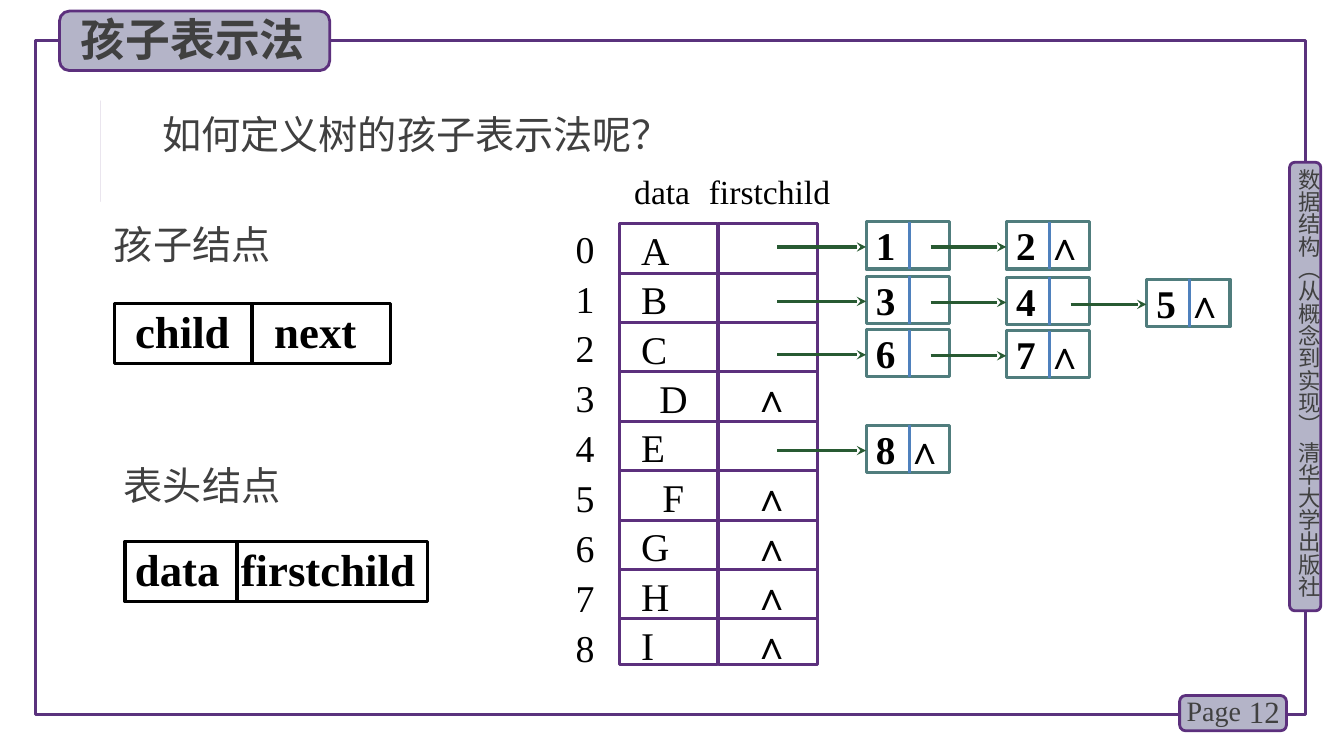
from dataclasses import dataclass
from math import cos, pi, sin
from typing import Optional

from lxml.etree import SubElement
from pptx import Presentation
from pptx.dml.color import RGBColor
from pptx.enum.shapes import MSO_CONNECTOR, MSO_SHAPE
from pptx.enum.text import MSO_ANCHOR, MSO_AUTO_SIZE, PP_ALIGN
from pptx.oxml.ns import qn
from pptx.util import Inches, Pt

PURPLE = RGBColor(0x5C, 0x30, 0x7D)
FRAME_PURPLE = RGBColor(0x5A, 0x32, 0x7D)
LILAC = RGBColor(0xB4, 0xB4, 0xC8)
GREY = RGBColor(0x40, 0x40, 0x40)
BLACK = RGBColor(0, 0, 0)
TEAL = RGBColor(0x50, 0x7D, 0x7D)
GREEN = RGBColor(0x28, 0x5A, 0x32)
BLUE = RGBColor(0x4F, 0x81, 0xBD)
CHINESE = "Noto Sans CJK SC"
ROMAN = "Times New Roman"

ROW_TOP, ROW_PITCH, COLUMN_WIDTH = 2.22, 0.49, 0.98
DATA_LEFT, CHILD_LEFT = 6.14, 7.13
LETTERS = "ABCDEFGHI"
LETTER_INDENTS = {"D": 0.3, "F": 0.33}
LEAF_ROWS = (3, 5, 6, 7, 8)
CELL_LEFT, CELL_STEP, CELL_WIDTH, CELL_HEIGHT = 8.59, 1.39, 0.83, 0.47
ARROW_STARTS = (7.71, 9.23, 10.62)


@dataclass
class ListCell:
    text: str
    column: int
    top: float


@dataclass
class NodeDiagram:
    left: float
    top: float
    width: float
    text: str
    inset: float
    tab: float
    divider: float


LIST_CELLS = [
    ListCell("1", 0, 2.2), ListCell("2 ∧", 1, 2.2),
    ListCell("3", 0, 2.74), ListCell("4", 1, 2.75), ListCell("5 ∧", 2, 2.77),
    ListCell("6", 0, 3.27), ListCell("7 ∧", 1, 3.28),
    ListCell("8 ∧", 0, 4.22),
]
NODE_DIAGRAMS = [
    NodeDiagram(1.14, 3.01, 2.73, "child\tnext", 0.2, 1.38, 2.5),
    NodeDiagram(1.24, 5.37, 3, "data\tfirstchild", 0.1, 1.05, 2.35),
]


def write(shape, text: str, *, size: float, font: str = ROMAN, color=BLACK,
          bold: bool = False, align=PP_ALIGN.LEFT, anchor=MSO_ANCHOR.TOP,
          insets=(0, 0, 0, 0), spacing: Optional[float] = None,
          tab: Optional[float] = None, indents: Optional[list] = None,
          wrap: bool = True) -> None:
    frame = shape.text_frame
    frame.auto_size = MSO_AUTO_SIZE.NONE
    frame.word_wrap = wrap
    frame.vertical_anchor = anchor
    (frame.margin_left, frame.margin_top,
     frame.margin_right, frame.margin_bottom) = map(Inches, insets)
    for index, line in enumerate(text.split("\n")):
        paragraph = frame.paragraphs[0] if index == 0 else frame.add_paragraph()
        paragraph.alignment = align
        if spacing:
            paragraph.line_spacing = spacing
        properties = paragraph._p.get_or_add_pPr()
        if indents:
            properties.set("marL", str(Inches(indents[index])))
        if tab:
            tabs = SubElement(properties, qn("a:tabLst"))
            SubElement(tabs, qn("a:tab"), pos=str(Inches(tab)), algn="l")
        run = paragraph.add_run()
        run.text = line
        run.font.size = Pt(size)
        run.font.bold = bold
        run.font.color.rgb = color
        run.font.name = font
        SubElement(run._r.get_or_add_rPr(), qn("a:ea"), typeface=font)


def add_text(slide, left: float, top: float, width: float, height: float,
             text: str, **text_format):
    box = slide.shapes.add_textbox(*map(Inches, (left, top, width, height)))
    write(box, text, **text_format)
    return box


def add_box(slide, left: float, top: float, width: float, height: float,
            color, line_width: float = 2.25, kind=MSO_SHAPE.RECTANGLE, fill=None):
    shape = slide.shapes.add_shape(kind, *map(Inches, (left, top, width, height)))
    shape.shadow.inherit = False
    if fill is None:
        shape.fill.background()
    else:
        shape.fill.solid()
        shape.fill.fore_color.rgb = fill
    shape.line.color.rgb = color
    shape.line.width = Pt(line_width)
    return shape


def add_badge(slide, left: float, top: float, width: float, height: float) -> None:
    add_box(slide, left, top, width, height, PURPLE, 2,
            MSO_SHAPE.ROUNDED_RECTANGLE, LILAC)


def add_line(slide, x1: float, y1: float, x2: float, y2: float, color,
             arrow: bool = False) -> None:
    line = slide.shapes.add_connector(
        MSO_CONNECTOR.STRAIGHT, *map(Inches, (x1, y1, x2, y2)))
    line.line.color.rgb = color
    line.line.width = Pt(2.25)
    if arrow:
        SubElement(line.line._get_or_add_ln(), qn("a:tailEnd"), type="stealth")
    SubElement(line._element.spPr, qn("a:effectLst"))


def add_outline(slide, *contours) -> None:
    """Draw one filled shape; later contours cut holes in the first."""
    builder = slide.shapes.build_freeform(*contours[0][0], scale=Inches(1))
    for index, contour in enumerate(contours):
        if index:
            builder.move_to(*contour[0])
        builder.add_line_segments(contour[1:], close=True)
    shape = builder.convert_to_shape()
    shape.shadow.inherit = False
    shape.fill.solid()
    shape.fill.fore_color.rgb = FRAME_PURPLE
    shape.line.fill.background()


def add_clock(slide) -> None:
    center_x, center_y = 1.15, 1.335
    face = [(center_x + 0.2 * cos(step * pi / 30), center_y + 0.175 * sin(step * pi / 30))
            for step in range(60)]
    hands = [(1.14, 1.21), (1.15, 1.2), (1.16, 1.2), (1.17, 1.22), (1.17, 1.32),
             (1.22, 1.32), (1.24, 1.33), (1.24, 1.34), (1.22, 1.35), (1.15, 1.35),
             (1.14, 1.34)]
    bell = [(0.98, 1.12), (0.94, 1.13), (0.91, 1.15), (0.9, 1.19), (0.9, 1.22),
            (0.91, 1.24), (0.93, 1.24), (1.05, 1.16), (1.05, 1.15), (1.02, 1.13)]
    stand = [(0.99, 1.58), (1.03, 1.53), (1.04, 1.52), (1.26, 1.52), (1.27, 1.53),
             (1.31, 1.58), (1.3, 1.59), (1.29, 1.59), (1.26, 1.54), (1.04, 1.54),
             (1.01, 1.59), (1, 1.59)]
    add_outline(slide, stand)
    add_outline(slide, bell)
    add_outline(slide, [(2 * center_x - x, y) for x, y in bell])
    add_outline(slide, face, hands)


def add_page_frame(slide) -> None:
    add_box(slide, 0.35, 0.4, 12.6, 6.69, FRAME_PURPLE)
    add_badge(slide, 12.79, 1.61, 0.31, 4.45)
    side = add_text(slide, 12.85, 1.67, 0.27, 4.49,
                    "数据结构（从概念到实现） 清华大学出版社",
                    size=16, font=CHINESE, color=GREY)
    side.text_frame._txBody.bodyPr.set("vert", "eaVert")
    add_badge(slide, 11.7, 6.9, 1.06, 0.35)
    add_text(slide, 12.2, 6.86, 0.59, 0.4, "12", size=22, color=GREY,
             align=PP_ALIGN.RIGHT, anchor=MSO_ANCHOR.MIDDLE, insets=(0.1, 0.05, 0.1, 0.05))
    add_text(slide, 11.67, 6.83, 0.78, 0.44, "Page", size=20, color=GREY,
             insets=(0.1, 0.05, 0.1, 0.05))


def add_title(slide, text: str) -> None:
    add_badge(slide, 0.59, 0.11, 2.68, 0.59)
    title = slide.shapes.title
    title.left, title.top, title.width, title.height = map(Inches, (0.7, 0.07, 2.5, 0.64))
    write(title, text, size=32, font=CHINESE, color=GREY, bold=True,
          insets=(0.1, 0.05, 0.1, 0.05))
    title._element.getparent().append(title._element)


def add_header_array(slide) -> None:
    add_text(slide, 6.29, 1.7, 0.65, 0.42, "data", size=24)
    add_text(slide, 7.03, 1.7, 1.38, 0.42, "firstchild", size=24)
    add_text(slide, 5.71, 2.19, 0.2, 4.68, "\n".join(map(str, range(9))),
             size=27, spacing=1.1)
    for left in (DATA_LEFT, CHILD_LEFT):
        column = add_box(slide, left, ROW_TOP, COLUMN_WIDTH, 4.37, PURPLE)
        if left == DATA_LEFT:
            write(column, "\n".join(LETTERS), size=28, spacing=1.05, insets=(0.1, 0, 0.1, 0),
                  indents=[LETTER_INDENTS.get(letter, 0.12) for letter in LETTERS])
        for row in range(1, len(LETTERS)):
            y = ROW_TOP + row * ROW_PITCH
            add_line(slide, left, y, left + COLUMN_WIDTH, y, PURPLE)
    for row in LEAF_ROWS:
        add_text(slide, 7.37, 2.29 + row * ROW_PITCH, 0.67, 0.42, "∧", size=28,
                 bold=True, spacing=0.9, insets=(0.1, 0, 0.1, 0))


def add_list_cell(slide, cell: ListCell) -> None:
    left = CELL_LEFT + cell.column * CELL_STEP
    box = add_box(slide, left, cell.top, CELL_WIDTH, CELL_HEIGHT, TEAL)
    write(box, cell.text, size=28, bold=True, insets=(0.1, 0, 0, 0))
    add_line(slide, left + 0.43, cell.top, left + 0.43, cell.top + CELL_HEIGHT, BLUE)
    arrow_y = cell.top + 0.25
    add_line(slide, ARROW_STARTS[cell.column], arrow_y, left, arrow_y, GREEN, arrow=True)


def add_node_diagram(slide, node: NodeDiagram) -> None:
    box = add_box(slide, node.left, node.top, node.width, 0.6, BLACK)
    write(box, node.text, size=32, bold=True, insets=(node.inset, 0, 0, 0), tab=node.tab)
    add_line(slide, node.divider, node.top, node.divider, node.top + 0.6, BLACK)


def main() -> None:
    presentation = Presentation()
    presentation.slide_width, presentation.slide_height = Inches(13.33), Inches(7.5)
    slide = presentation.slides.add_slide(presentation.slide_layouts[5])
    add_page_frame(slide)
    add_title(slide, "孩子表示法")
    add_text(slide, 1.51, 1.05, 5.37, 0.57, "如何定义树的孩子表示法呢？", size=28,
             font=CHINESE, color=GREY, insets=(0.1, 0.05, 0.1, 0.05))
    add_clock(slide)
    add_text(slide, 1.13, 2.19, 3.12, 0.45, "孩子结点", size=28, font=CHINESE, color=GREY)
    add_text(slide, 1.13, 4.53, 1.76, 0.57, "表头结点", size=28, font=CHINESE, color=GREY,
             insets=(0.1, 0.05, 0.1, 0.05), wrap=False)
    for node in NODE_DIAGRAMS:
        add_node_diagram(slide, node)
    add_header_array(slide)
    for cell in LIST_CELLS:
        add_list_cell(slide, cell)


    presentation.save("out.pptx")


if __name__ == "__main__":
    main()
